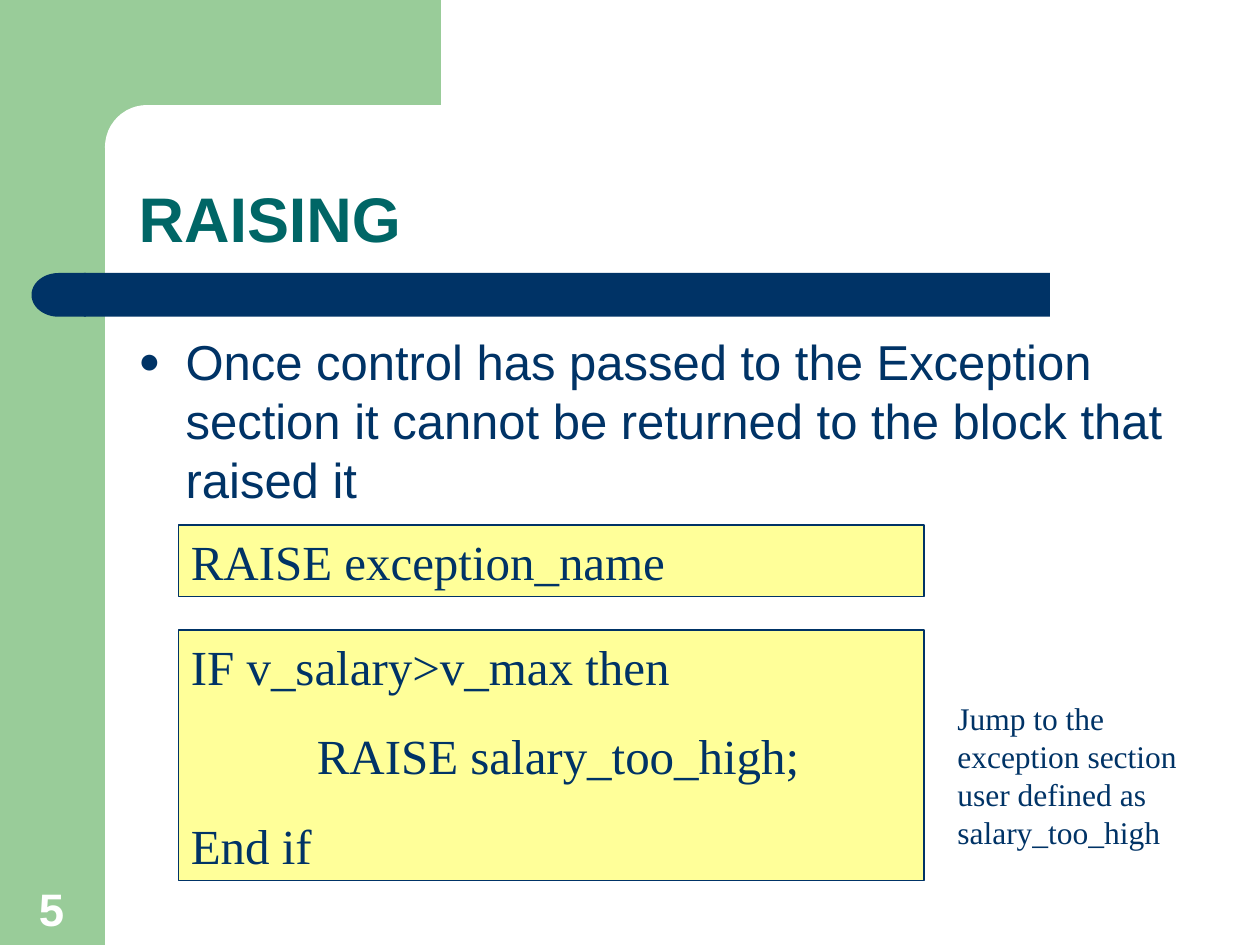
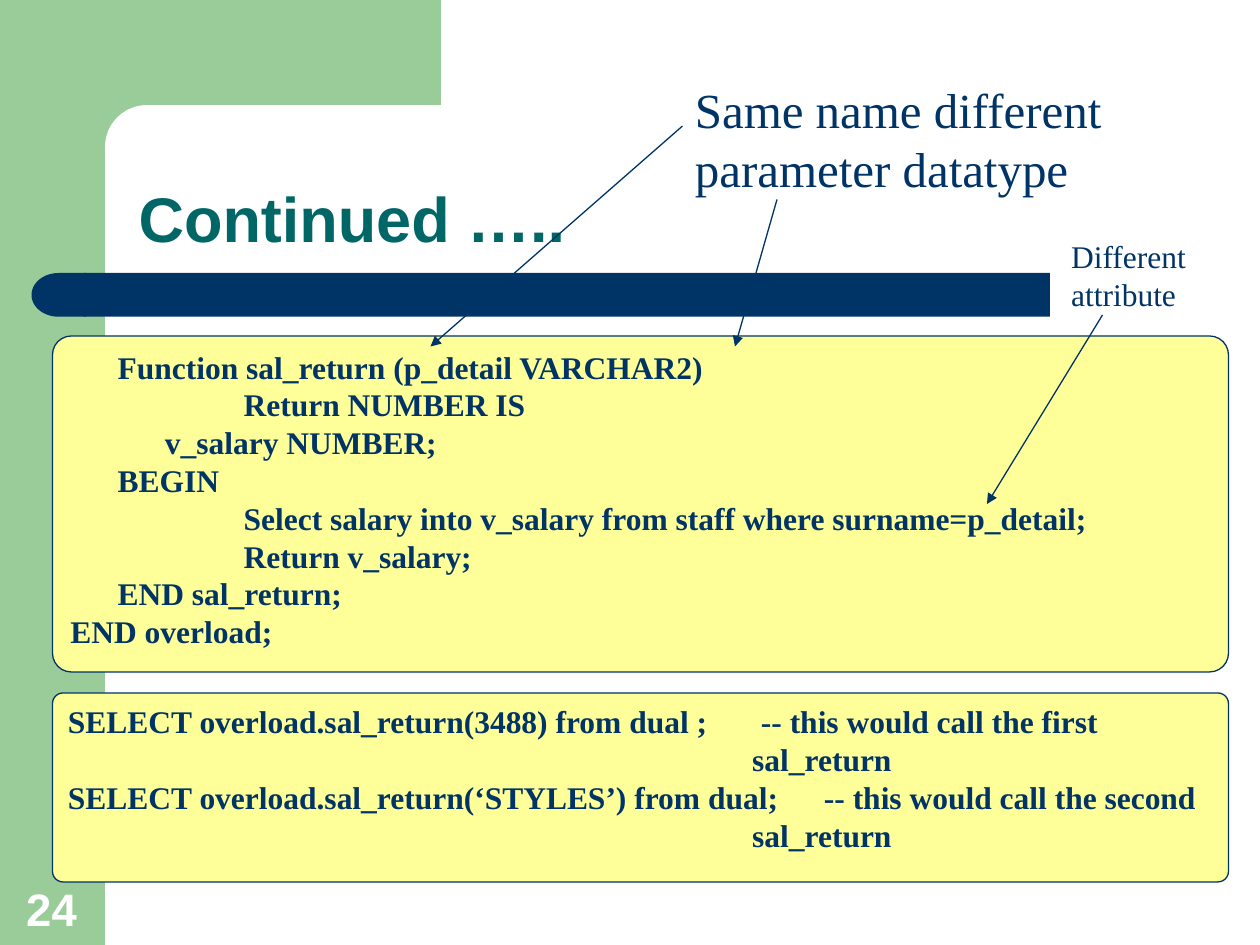
from dataclasses import dataclass
from typing import Any, NamedTuple

from pptx import Presentation
from pptx.dml.color import RGBColor
from pptx.enum.shapes import MSO_CONNECTOR, MSO_SHAPE
from pptx.enum.text import MSO_ANCHOR, MSO_AUTO_SIZE, PP_ALIGN
from pptx.oxml.ns import qn
from pptx.oxml.xmlchemy import OxmlElement
from pptx.util import Pt

HUES = {
    "leaf": "99CC99",
    "navy": "003366",
    "teal": "006666",
    "cream": "FFFF99",
    "white": "FFFFFF",
}
SANS, SERIF = "Arial", "Times New Roman"
STEP = 27   # first code indent
DEEP = 99   # second code indent


class Area(NamedTuple):
    left: float
    top: float
    width: float
    height: float


class Style(NamedTuple):
    font: str
    size: float
    hue: str = "navy"
    bold: bool = False


class Line(NamedTuple):
    text: str
    left: float = 0
    gap: float = 0
    tab: float = 0
    mark: str = ""


@dataclass
class Part:
    """A preset shape, or a plain text box when it has no form."""
    area: Area
    form: Any = None
    fill: str = ""
    edge: str = ""
    turn: float = 0
    curve: float | None = None
    lines: tuple[Line, ...] = ()
    style: Style | None = None
    frame: dict[str, Any] | None = None
    align: Any = PP_ALIGN.LEFT


class Arrow(NamedTuple):
    start: tuple[float, float]
    end: tuple[float, float]


HEAD = Style(SANS, 36, "teal", True)
BODY = Style(SANS, 28)
PAGE = Style(SANS, 26, "white", True)
BIG = Style(SERIF, 28)
NOTE = Style(SERIF, 18)
CODE = Style(SERIF, 18, bold=True)

BASE = (
    Part(Area(0, 0, 60, 540), MSO_SHAPE.RECTANGLE, "leaf"),
    Part(Area(54, 0, 198, 84), MSO_SHAPE.RECTANGLE, "leaf"),
    Part(Area(60, 60, 402, 48), MSO_SHAPE.ROUNDED_RECTANGLE, "white", curve=0.5),
    Part(Area(48, 156, 552, 25), MSO_SHAPE.RECTANGLE, "navy"),
    Part(Area(18, 156, 31, 25), MSO_SHAPE.FLOWCHART_DELAY, "navy", turn=180),
)


def tint(name: str) -> RGBColor:
    return RGBColor.from_string(HUES[name])


def put(item: Any, values: dict[str, Any]) -> None:
    for key, value in values.items():
        setattr(item, key, value)


def place(shape: Any, area: Area) -> None:
    put(shape, {key: Pt(size) for key, size in area._asdict().items()})


def add_tag(parent: Any, tag: str, **attrs: str) -> Any:
    node = OxmlElement(tag)
    for key, value in attrs.items():
        node.set(key, value)
    parent.append(node)
    return node


def indent(para: Any, line: Line) -> None:
    """Set the left margin, bullet and tab stop of a paragraph."""
    props = para._p.get_or_add_pPr()
    props.set("marL", str(Pt(line.left)))
    props.set("indent", str(-Pt(line.left) if line.mark else 0))
    if line.mark:
        hue = add_tag(props, "a:buClr")
        add_tag(hue, "a:srgbClr", val=HUES["navy"])
        add_tag(props, "a:buSzPct", val="75000")
        add_tag(props, "a:buFont", typeface=SANS)
        add_tag(props, "a:buChar", char=line.mark)
    if line.tab:
        stops = add_tag(props, "a:tabLst")
        add_tag(stops, "a:tab", pos=str(Pt(line.tab)), algn="l")


def dress(para: Any, style: Style, values: dict[str, Any]) -> None:
    put(para, values)
    put(para.font, {"name": style.font, "size": Pt(style.size), "bold": style.bold})
    para.font.color.rgb = tint(style.hue)


def write(frame: Any, part: Part) -> None:
    put(frame, {"word_wrap": True, "auto_size": MSO_AUTO_SIZE.NONE,
                "vertical_anchor": MSO_ANCHOR.TOP, **(part.frame or {})})
    for index, line in enumerate(part.lines):
        para = frame.add_paragraph() if index else frame.paragraphs[0]
        para.text = line.text
        indent(para, line)
        dress(para, part.style,
              {"alignment": part.align, "space_before": Pt(line.gap)})


def draw(slide: Any, part: Part) -> None:
    spots = [Pt(size) for size in part.area]
    if part.form is None:
        shape = slide.shapes.add_textbox(*spots)
    else:
        shape = slide.shapes.add_shape(part.form, *spots)
        put(shape, {"rotation": part.turn})
        shape.shadow.inherit = False
        shape.fill.solid()
        shape.fill.fore_color.rgb = tint(part.fill)
        if part.edge:
            shape.line.color.rgb = tint(part.edge)
            shape.line.width = Pt(0.75)
        else:
            shape.line.fill.background()
        if part.curve is not None:
            shape.adjustments[0] = part.curve
    if part.lines:
        write(shape.text_frame, part)


def point(slide: Any, arrow: Arrow) -> None:
    ends = [Pt(size) for size in (*arrow.start, *arrow.end)]
    wire = slide.shapes.add_connector(MSO_CONNECTOR.STRAIGHT, *ends)
    put(wire.line, {"width": Pt(0.75)})
    wire.line.color.rgb = tint("navy")
    props = wire.element.spPr
    add_tag(props.find(qn("a:ln")), "a:tailEnd", type="triangle")
    add_tag(props, "a:effectLst")


def start(deck: Any, title: str, page: str) -> Any:
    """Add a slide with the shared bands, title and page number."""
    slide = deck.slides.add_slide(deck.slide_layouts[5])
    for part in BASE:
        draw(slide, part)
    draw(slide, Part(Area(6, 500, 47, 38), lines=(Line(page),), style=PAGE,
                     frame={"vertical_anchor": MSO_ANCHOR.BOTTOM},
                     align=PP_ALIGN.CENTER))
    head = slide.shapes.title
    head.element.getparent().append(head.element)
    place(head, Area(72, 60, 630, 90))
    write(head.text_frame, Part(Area(72, 60, 630, 90), lines=(Line(title),),
                                style=HEAD,
                                frame={"vertical_anchor": MSO_ANCHOR.BOTTOM}))
    head.text_frame.paragraphs[0].line_spacing = 0.9
    return slide


def text(area: Area, style: Style, *lines: Line) -> Part:
    return Part(area, lines=lines, style=style)


def panel(area: Area, style: Style, *lines: Line, curve: float | None = None) -> Part:
    form = MSO_SHAPE.RECTANGLE if curve is None else MSO_SHAPE.ROUNDED_RECTANGLE
    return Part(area, form, "cream", "navy", curve=curve, lines=lines, style=style)


def add_raise(deck: Any) -> None:
    slide = start(deck, "RAISING", "5")
    parts = (
        text(Area(72, 186, 630, 294), BODY,
             Line("Once control has passed to the Exception section it cannot be "
                  "returned to the block that raised it", left=STEP, mark="●")),
        panel(Area(102, 300, 426, 41), BIG, Line("RAISE exception_name")),
        panel(Area(102, 360, 426, 143), BIG,
              Line("IF v_salary>v_max then"),
              Line("RAISE salary_too_high;", left=72, gap=17.5),
              Line("End if", gap=17.5)),
        text(Area(540, 396, 144, 94), NOTE,
             Line("Jump to the exception section user defined as salary_too_high")),
    )
    for part in parts:
        draw(slide, part)


def add_calls(deck: Any) -> None:
    slide = start(deck, "Continued …..", "24")
    parts = (
        panel(Area(30, 192, 672, 192), CODE,
              Line("Function sal_return (p_detail VARCHAR2)", STEP),
              Line("Return NUMBER IS", DEEP),
              Line("v_salary NUMBER;", 2 * STEP),
              Line("BEGIN", STEP),
              Line("Select salary into v_salary from staff where surname=p_detail;",
                   DEEP),
              Line("Return v_salary;", DEEP),
              Line("END sal_return;", STEP),
              Line("END overload;"),
              curve=0.056),
        text(Area(390, 42, 300, 75), BIG,
             Line("Same name different parameter datatype")),
        panel(Area(30, 396, 672, 108), CODE,
              Line("SELECT overload.sal_return(3488) from dual ;"
                   "\t-- this would call the first", tab=383),
              Line("sal_return", left=391),
              Line("SELECT overload.sal_return(‘STYLES’) from dual;"
                   "\t-- this would call the second", tab=414.5),
              Line("sal_return", left=391),
              curve=0.056),
        text(Area(605, 132, 115, 50), NOTE, Line("Different attribute")),
    )
    arrows = (
        Arrow((390, 72), (246, 198)),
        Arrow((444, 114), (420, 198)),
        Arrow((630, 180), (564, 288)),
    )
    for part in parts:
        draw(slide, part)
    for arrow in arrows:
        point(slide, arrow)


def main() -> None:
    deck = Presentation()
    put(deck, {"slide_width": Pt(720), "slide_height": Pt(540)})
    add_raise(deck)
    add_calls(deck)
    deck.save("out.pptx")


if __name__ == "__main__":
    main()
